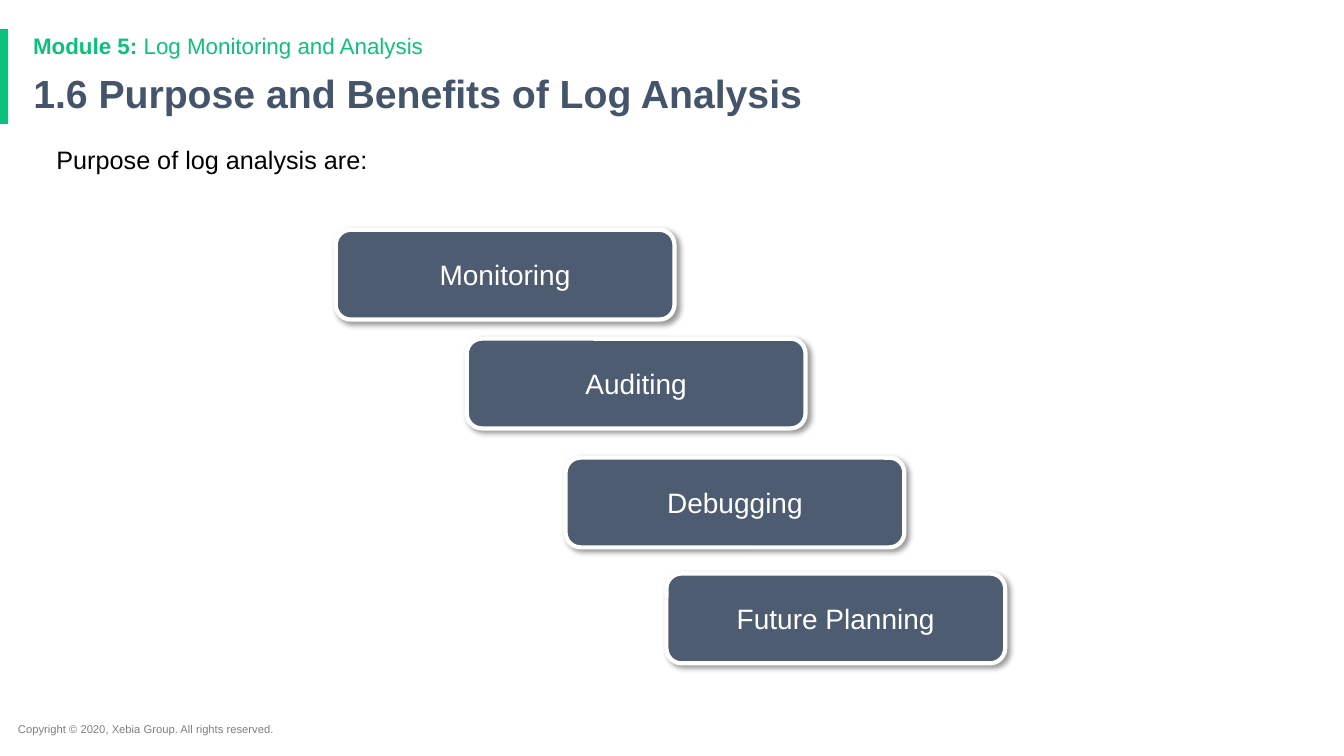
from pptx import Presentation
from pptx.dml.color import RGBColor
from pptx.enum.shapes import MSO_SHAPE as Shape
from pptx.enum.text import MSO_ANCHOR as Anchor, MSO_AUTO_SIZE as AutoSize, PP_ALIGN as Align
from pptx.oxml import parse_xml
from pptx.oxml.ns import nsdecls
from pptx.util import Inches, Pt

GREEN, SLATE, STEP_FILL = "0EC07D", "44546A", "4E5C71"
GREY, BLACK, WHITE = "7F7F7F", "000000", "FFFFFF"


def color(value):
    return RGBColor.from_string(value)


def place(shape, box):
    shape.left, shape.top, shape.width, shape.height = map(Inches, box)


def write(shape, spans, size, ink, align=Align.LEFT, anchor=Anchor.TOP,
          line_spacing=None, left_inset=0.1, top_inset=0.05):
    """Fill a shape with one paragraph of (text, bold) spans."""
    frame = shape.text_frame
    frame.word_wrap = True
    frame.auto_size = AutoSize.NONE
    frame.vertical_anchor = anchor
    frame.margin_left, frame.margin_right = Inches(left_inset), Inches(0.1)
    frame.margin_top, frame.margin_bottom = Inches(top_inset), Inches(0.05)
    para = frame.paragraphs[0]
    para.alignment = align
    para.space_before = Pt(0)
    if line_spacing:
        para.line_spacing = line_spacing
    for text, bold in spans:
        span = para.add_run()
        span.text = text
        span.font.name, span.font.size, span.font.bold = "Arial", Pt(size), bold
        span.font.color.rgb = color(ink)


def add_text(page, box, spans, **text_format):
    text_box = page.shapes.add_textbox(*map(Inches, box))
    write(text_box, spans, **text_format)


def add_header(page, box):
    left, top, width, height = box
    # Accent bar at the slide edge
    bar = page.shapes.add_shape(Shape.RECTANGLE, *map(Inches, (left, top, 0.08, height)))
    bar.shadow.inherit = False
    bar.fill.solid()
    bar.fill.fore_color.rgb = color(GREEN)
    bar.line.fill.background()
    # Module name and title
    text_left, text_width = left + 0.23, width - 0.23
    add_text(page, (text_left, top + 0.01, text_width, 0.33),
             [("Module 5: ", True), ("Log Monitoring and Analysis", False)],
             size=16, ink=GREEN, line_spacing=0.9)
    title = page.shapes.title
    place(title, (text_left, top + 0.4, text_width, 0.54))
    write(title, [("1.6 Purpose and Benefits of Log Analysis", True)],
          size=28, ink=SLATE, line_spacing=0.9)


def add_intro(page, box):
    body = page.placeholders[1]
    place(body, box)
    properties = body.text_frame.paragraphs[0]._p.get_or_add_pPr()
    properties.set("marL", "0")
    properties.set("indent", "0")
    properties.append(parse_xml(f"<a:buNone {nsdecls('a')}/>"))
    write(body, [("Purpose of log analysis are:", False)],
          size=18, ink=BLACK, left_inset=0, top_inset=0)


def add_step(page, box, label):
    step = page.shapes.add_shape(Shape.ROUNDED_RECTANGLE, *map(Inches, box))
    step.adjustments[0] = 0.167
    step.fill.solid()
    step.fill.fore_color.rgb = color(STEP_FILL)
    step.line.color.rgb = color(WHITE)
    step.line.width = Pt(3)
    # Soft shadow towards the lower right
    step._element.spPr.append(parse_xml(
        f'<a:effectLst {nsdecls("a")}>'
        f'<a:outerShdw blurRad="{Pt(4)}" dist="{Pt(3)}" dir="2700000" algn="tl" rotWithShape="0">'
        f'<a:srgbClr val="{BLACK}"><a:alpha val="40000"/></a:srgbClr>'
        '</a:outerShdw></a:effectLst>'))
    write(step, [(label, False)], size=20, ink=WHITE,
          align=Align.CENTER, anchor=Anchor.MIDDLE)


def add_staircase(page, box):
    left, top, width, height = box
    steps = [("Monitoring", 0, 0), ("Auditing", 1.3, 1.08),
             ("Debugging", 2.28, 2.26), ("Future Planning", 3.28, 3.41)]
    step_width, step_height = width - steps[-1][1], height - steps[-1][2]
    for label, across, down in steps:
        add_step(page, (left + across, top + down, step_width, step_height), label)


def add_footer(page, box):
    add_text(page, box, [("Copyright © 2020, Xebia Group. All rights reserved.", False)],
             size=8, ink=GREY)


def main():
    deck = Presentation()
    deck.slide_width, deck.slide_height = Inches(13.33), Inches(7.5)
    page = deck.slides.add_slide(deck.slide_layouts[1])
    page.background.fill.solid()
    page.background.fill.fore_color.rgb = color(WHITE)
    add_header(page, (0, 0.29, 11.73, 0.94))
    add_intro(page, (0.56, 1.43, 11.24, 5.29))
    add_staircase(page, (3.33, 2.28, 6.64, 4.3))
    add_footer(page, (0.08, 7.12, 7.13, 0.24))
    deck.save("out.pptx")


if __name__ == "__main__":
    main()
